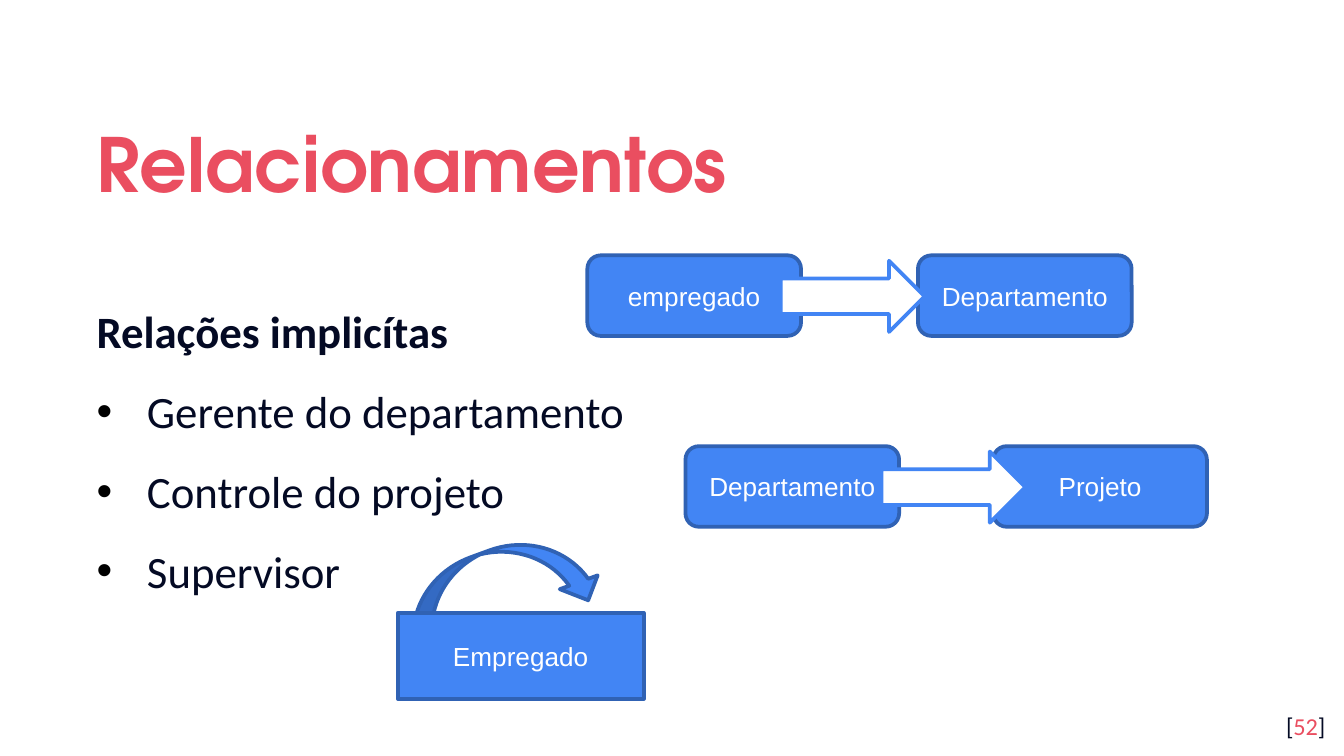
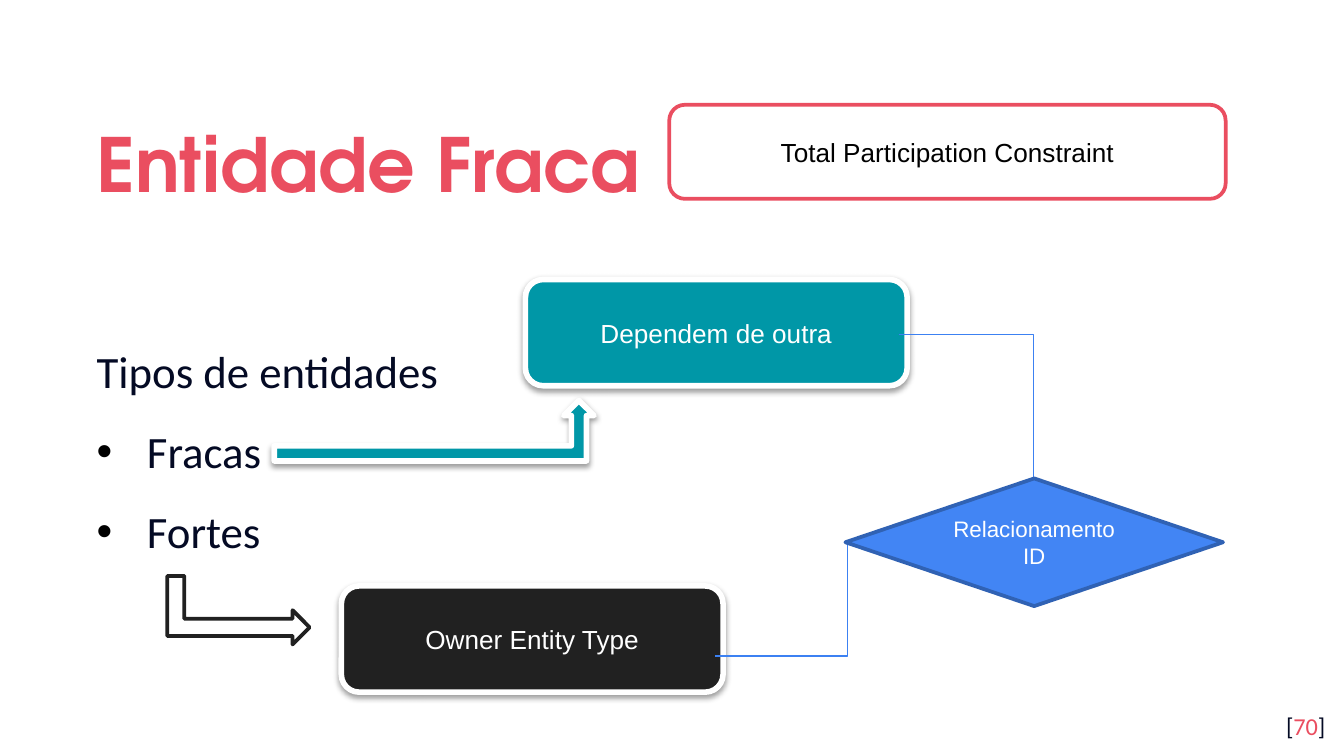
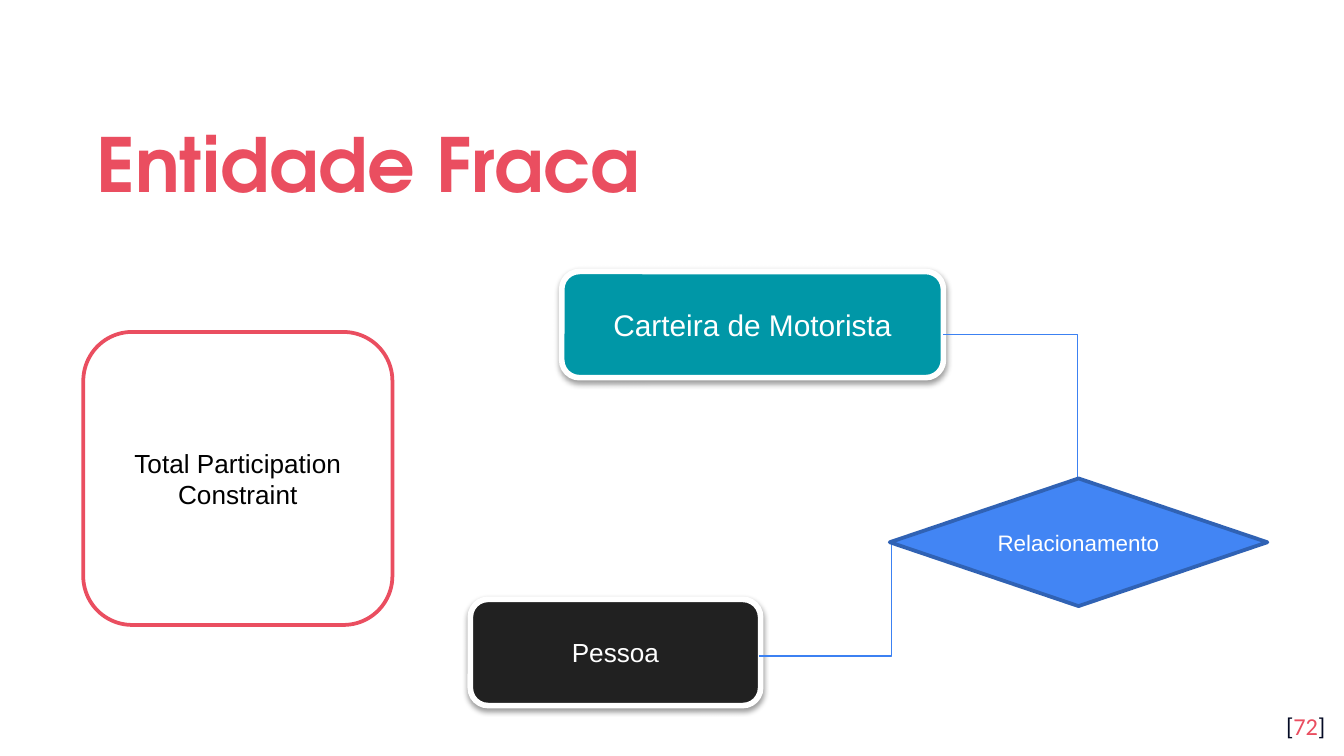
from lxml import etree
from pptx import Presentation
from pptx.dml.color import RGBColor
from pptx.enum.shapes import MSO_CONNECTOR, MSO_SHAPE
from pptx.enum.text import MSO_ANCHOR, PP_ALIGN
from pptx.oxml import parse_xml
from pptx.oxml.ns import nsdecls, qn
from pptx.util import Emu, Pt

PX = 9144  # 100 px to the inch
SLIDE_WIDTH = 1000  # the height follows from 16:9

CORAL = RGBColor(0xEA, 0x4E, 0x60)
NAVY = RGBColor(0x04, 0x0A, 0x24)
BLUE = RGBColor(0x42, 0x85, 0xF4)
DARK_BLUE = RGBColor(0x30, 0x62, 0xB4)
LINK_BLUE = RGBColor(0x3C, 0x81, 0xF2)
TEAL = RGBColor(0x00, 0x97, 0xA7)
CHARCOAL = RGBColor(0x21, 0x21, 0x21)
BLACK = RGBColor(0, 0, 0)
WHITE = RGBColor(0xFF, 0xFF, 0xFF)

TITLE_FONT, BODY_FONT, SHAPE_FONT = "TeX Gyre Adventor", "Calibri", "Arial"
BULLET_INDENT = Pt(27)
LEFT, CENTER, RIGHT = PP_ALIGN.LEFT, PP_ALIGN.CENTER, PP_ALIGN.RIGHT
JUSTIFY = PP_ALIGN.JUSTIFY
TOP, MIDDLE = MSO_ANCHOR.TOP, MSO_ANCHOR.MIDDLE
ELBOW = MSO_CONNECTOR.ELBOW
RECTANGLE, ROUNDED = MSO_SHAPE.RECTANGLE, MSO_SHAPE.ROUNDED_RECTANGLE
DIAMOND, RIGHT_ARROW = MSO_SHAPE.DIAMOND, MSO_SHAPE.RIGHT_ARROW
BENT_UP_ARROW = MSO_SHAPE.BENT_UP_ARROW
CURVED_ARROW = MSO_SHAPE.CURVED_DOWN_ARROW

# Shape styles: fill, line, line width, text colour, shadow
STYLES = {
    "blue": (BLUE, DARK_BLUE, 2, WHITE, False),
    "blue outline": (WHITE, BLUE, 2, BLACK, False),
    "weak": (TEAL, WHITE, 3, WHITE, True),
    "owner": (CHARCOAL, WHITE, 3, WHITE, True),
    "dark outline": (WHITE, CHARCOAL, 2, BLACK, False),
    "constraint": (WHITE, CORAL, 2, BLACK, False),
}

# Content
TITLE_BOX = (62, 70, 877, 92)
NUMBER_BOX = (936, 519, 60, 43)
RELATION_ITEMS = ["Relações implicítas", "Gerente do departamento",
                  "Controle do projeto", "Supervisor"]
ENTITY_ITEMS = ["Tipos de entidades", "Fracas", "Fortes"]
# Each pair: top, (left entity, x), (right entity, x), arrow x
ENTITY_PAIRS = [
    (332, ("Departamento", 510), ("Projeto", 739), 656),
    (190, ("Departamento", 683), ("empregado", 437), 581),
]
CONSTRAINT = "Total Participation Constraint"


def emu(*lengths):
    return [Emu(length * PX) for length in lengths]


def add_bullet(paragraph):
    properties = paragraph._p.get_or_add_pPr()
    properties.set("marL", str(BULLET_INDENT))
    properties.set("indent", str(-BULLET_INDENT))
    color = etree.SubElement(properties, qn("a:buClr"))
    etree.SubElement(color, qn("a:srgbClr")).set("val", str(BLACK))
    etree.SubElement(properties, qn("a:buFont")).set("typeface", "Arial")
    etree.SubElement(properties, qn("a:buChar")).set("char", "•")


def write_text(shape, paragraphs, *, size, font, color, bold=False, align=LEFT,
               anchor=MIDDLE, margins=(10, 10), line_spacing=None,
               space_before=0, bold_first=False, bullets=False):
    """Each paragraph is a string or a list of (text, colour) runs."""
    frame = shape.text_frame
    frame.word_wrap = True
    frame.vertical_anchor = anchor
    frame.margin_left = frame.margin_right = Emu(margins[0] * PX)
    frame.margin_top = frame.margin_bottom = Emu(margins[1] * PX)
    for index, runs in enumerate(paragraphs):
        paragraph = frame.add_paragraph() if index else frame.paragraphs[0]
        if bullets and index:
            add_bullet(paragraph)
        paragraph.alignment = align
        if line_spacing:
            paragraph.line_spacing = line_spacing
        if index and space_before:
            paragraph.space_before = Pt(space_before)
        for text, run_color in [(runs, color)] if isinstance(runs, str) else runs:
            run = paragraph.add_run()
            run.text = text
            run.font.size = Pt(size)
            run.font.name = font
            run.font.bold = bold or (bold_first and index == 0)
            run.font.color.rgb = run_color


def add_text_box(slide, box, paragraphs, **text_format):
    write_text(slide.shapes.add_textbox(*emu(*box)), paragraphs, **text_format)


def add_body(slide, box, items, **text_format):
    add_text_box(slide, box, items, size=24, font=BODY_FONT, color=NAVY,
                 line_spacing=1.14, space_before=10, bullets=True, **text_format)


def add_part(parent, kind, style, box, text="", size=14, rotation=0):
    fill, line, width, text_color, shadow = STYLES[style]
    shape = parent.shapes.add_shape(kind, *emu(*box))
    shape.rotation = rotation
    shape.fill.solid()
    shape.fill.fore_color.rgb = fill
    shape.line.color.rgb = line
    shape.line.width = Pt(width)
    shape.shadow.inherit = False
    if shadow:
        effects = shape._element.spPr.find(qn("a:effectLst"))
        effects.append(parse_xml(
            f'<a:outerShdw {nsdecls("a")} blurRad="{Pt(3.1)}" dist="{Pt(1.6)}" '
            'dir="5400000" rotWithShape="0"><a:srgbClr val="000000">'
            '<a:alpha val="38000"/></a:srgbClr></a:outerShdw>'))
    if text:
        write_text(shape, [text], size=size, font=SHAPE_FONT, color=text_color,
                   align=CENTER, margins=(10, 5))
    return shape


def add_relationship(slide, left, text):
    """Diamond with elbow lines to the owner and the weak entity."""
    links = [((100, 403), (-97, 488)), ((240, 395), (40, 249))]
    for (begin_x, begin_y), (end_x, end_y) in links:
        connector = slide.shapes.add_connector(
            ELBOW, *emu(left + begin_x, begin_y, left + end_x, end_y))
        connector.line.color.rgb = LINK_BLUE
        connector.line.width = Pt(0.75)
        etree.SubElement(connector._element.spPr, qn("a:effectLst"))
    add_part(slide, DIAMOND, "blue", (left, 356, 281, 95), text, size=12)


def add_slide(presentation, title, number):
    slide = presentation.slides.add_slide(presentation.slide_layouts[6])
    add_text_box(slide, TITLE_BOX, [title], size=40, font=TITLE_FONT,
                 color=CORAL, bold=True, line_spacing=1.14)
    add_text_box(slide, NUMBER_BOX,
                 [[("[", NAVY), (str(number), CORAL), ("]", NAVY)]],
                 size=13, font=BODY_FONT, color=NAVY, align=RIGHT, anchor=TOP)
    return slide


def build_relationships(presentation):
    slide = add_slide(presentation, "Relacionamentos", 52)
    add_body(slide, (62, 162, 569, 341), RELATION_ITEMS,
             align=JUSTIFY, bold_first=True)
    # Employee supervising employee
    group = slide.shapes.add_group_shape()
    add_part(group, CURVED_ARROW, "blue", (296, 409, 150, 60), rotation=340)
    add_part(group, RECTANGLE, "blue", (296, 456, 183, 64), "Empregado")
    # Entity pairs joined by a block arrow
    for top, *entities, arrow_left in ENTITY_PAIRS:
        group = slide.shapes.add_group_shape()
        for name, left in entities:
            add_part(group, ROUNDED, "blue", (left, top, 159, 60), name)
        add_part(group, RIGHT_ARROW, "blue outline",
                 (arrow_left, top + 4, 107, 53))


def build_entity_types(presentation):
    slide = add_slide(presentation, "Entidade Fraca", 70)
    add_body(slide, (62, 162, 873, 341), ENTITY_ITEMS)
    add_part(slide, ROUNDED, "weak", (391, 208, 284, 79), "Dependem de outra")
    add_part(slide, BENT_UP_ARROW, "weak", (204, 298, 238, 45))
    add_part(slide, ROUNDED, "owner", (254, 436, 284, 79), "Owner Entity Type")
    arrow = add_part(slide, BENT_UP_ARROW, "dark outline",
                     (152, 401, 51, 106), rotation=270)
    for flip in ("flipH", "flipV"):
        arrow._element.spPr.find(qn("a:xfrm")).set(flip, "1")
    add_relationship(slide, 629, "Relacionamento ID")
    add_part(slide, ROUNDED, "constraint", (498, 78, 414, 70), CONSTRAINT)


def build_license_example(presentation):
    slide = add_slide(presentation, "Entidade Fraca", 72)
    add_part(slide, ROUNDED, "weak", (418, 202, 284, 79),
             "Carteira de Motorista", size=16)
    add_part(slide, ROUNDED, "owner", (350, 446, 216, 79), "Pessoa")
    add_relationship(slide, 662, "Relacionamento")
    add_part(slide, ROUNDED, "constraint", (62, 247, 230, 218), CONSTRAINT)


def main():
    presentation = Presentation()
    presentation.slide_width = Emu(SLIDE_WIDTH * PX)
    presentation.slide_height = Emu(SLIDE_WIDTH * PX * 9 // 16)
    build_relationships(presentation)
    build_entity_types(presentation)
    build_license_example(presentation)
    presentation.save("out.pptx")


if __name__ == "__main__":
    main()
